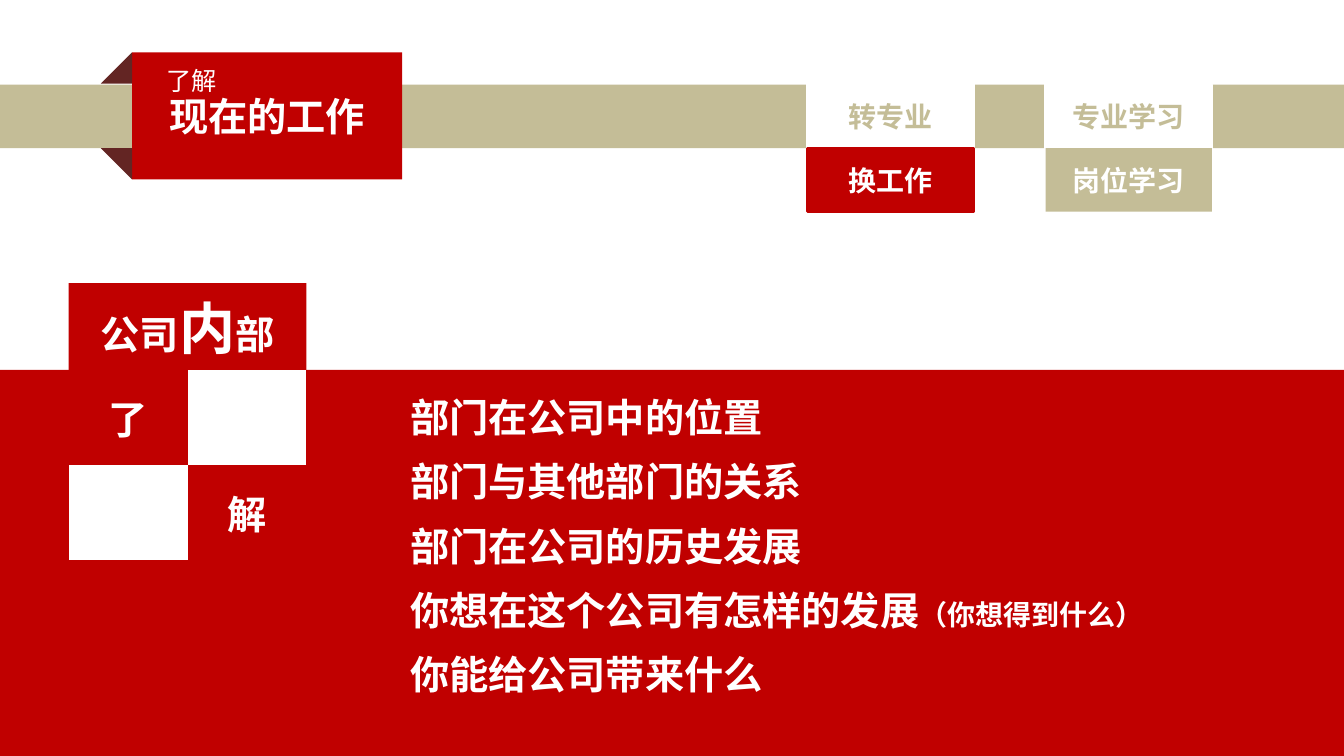
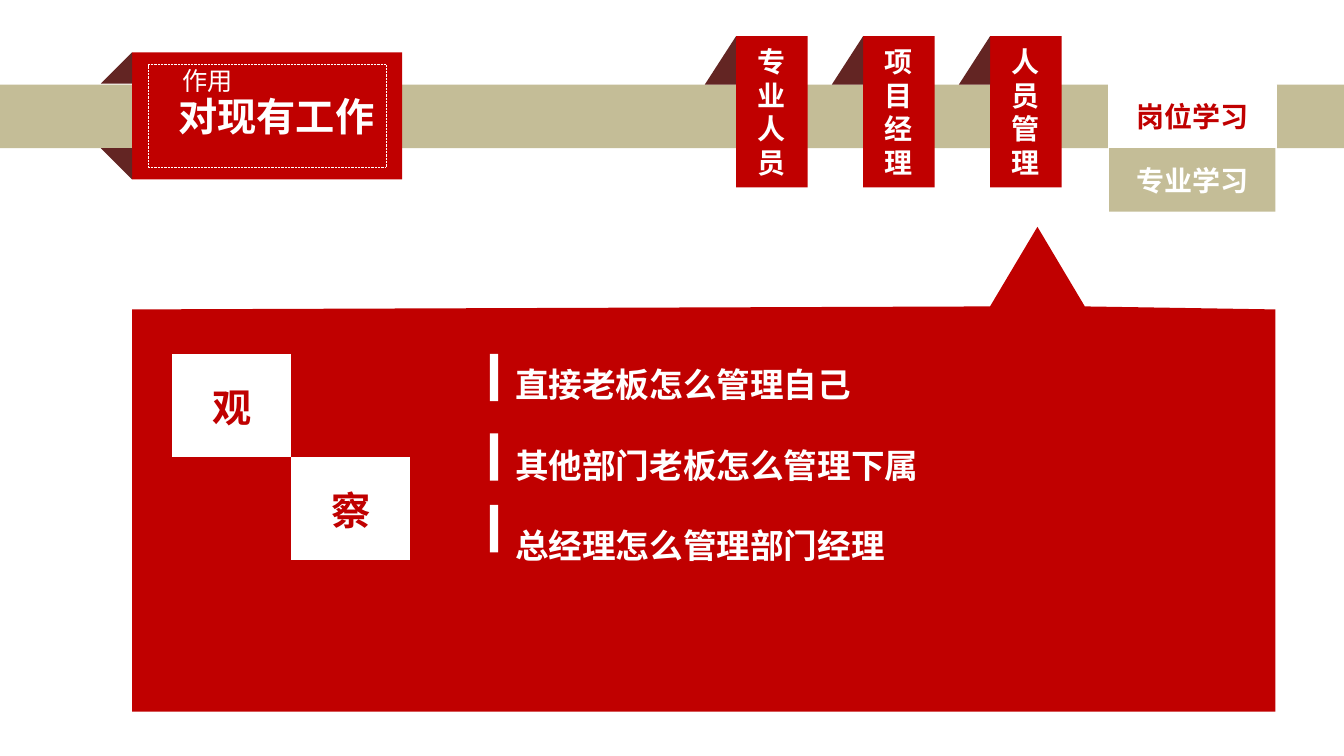
from pptx import Presentation
from pptx.dml.color import RGBColor
from pptx.enum.dml import MSO_LINE
from pptx.enum.lang import MSO_LANGUAGE_ID
from pptx.enum.shapes import MSO_SHAPE
from pptx.enum.text import MSO_ANCHOR, PP_ALIGN
from pptx.util import Inches, Pt

RED = RGBColor(0xC0, 0x00, 0x00)
FOLD = RGBColor(0x63, 0x25, 0x23)
TAN = RGBColor(0xC4, 0xBD, 0x97)
WHITE = RGBColor(0xFF, 0xFF, 0xFF)

WIDTH, HEIGHT = 13.33, 7.5
BAND_TOP, BAND_HEIGHT = 0.84, 0.63
FOLD_SIZE = 0.31
TITLE_BOX = (1.31, 0.52, 2.68, 1.26)
TAB_WIDTH = 1.65
CELL_WIDTH = 1.18
BANNER_LEFT, BANNER_STEP = 7.3, 1.26
BANNER_TOP, BANNER_WIDTH, BANNER_HEIGHT = 0.36, 0.71, 1.5
NO_TABLE_STYLE = "{2D5ABB26-0587-4C30-8999-92F81FD0307C}"

# Each paragraph is a list of (text, size) runs.
COMPANY_HEADING = [("公司", 28), ("内", 40), ("部", 28)]
COMPANY_POINTS = [
    [("部门在公司中的位置", 28)],
    [("部门与其他部门的关系", 28)],
    [("部门在公司的历史发展", 28)],
    [("你想在这个公司有怎样的发展", 28), ("（你想得到什么）", 20)],
    [("你能给公司带来什么", 28)],
]
# Each cell is (text, fill, text colour).
COMPANY_CELLS = [
    [("了", RED, WHITE), ("", WHITE, RED)],
    [("", WHITE, RED), ("解", RED, WHITE)],
]
# Each half of a tab is (text, fill, text colour, outline).
COMPANY_TABS = [
    (8.01, [("转专业", WHITE, TAN, WHITE), ("换工作", RED, WHITE, RED)]),
    (10.37, [("专业学习", WHITE, TAN, WHITE), ("岗位学习", TAN, WHITE, None)]),
]

BANNERS = ["专业人员", "项目经理", "人员管理"]
OBSERVE_POINTS = [
    [("直接老板怎么管理自己", 24)],
    [("其他部门老板怎么管理下属", 24)],
    [("总经理怎么管理部门经理", 24)],
]
OBSERVE_CELLS = [
    [("观", WHITE, RED), ("", RED, WHITE)],
    [("", RED, WHITE), ("察", WHITE, RED)],
]
OBSERVE_TABS = [
    (11, [("岗位学习", WHITE, RED, WHITE), ("专业学习", TAN, WHITE, None)]),
]
CALLOUT = [(1.31, 3.07), (9.82, 3.04), (10.29, 2.25), (10.76, 3.04),
           (12.65, 3.07), (12.65, 7.06), (1.31, 7.06)]
MARKER_TOPS = (3.51, 4.3, 5.01)


def inches(values):
    return [Inches(value) for value in values]


def write(frame, paragraphs, color=WHITE, font="Arial", bold=True,
          align=PP_ALIGN.CENTER, anchor=MSO_ANCHOR.MIDDLE, spacing=None, before=0):
    frame.word_wrap = True
    frame.vertical_anchor = anchor
    for index, runs in enumerate(paragraphs):
        paragraph = frame.add_paragraph() if index else frame.paragraphs[0]
        paragraph.alignment = align
        if spacing:
            paragraph.line_spacing = spacing
        if index and before:
            paragraph.space_before = Pt(before)
        for text, size in runs:
            run = paragraph.add_run()
            run.text = text
            run.font.name = font
            run.font.size = Pt(size)
            run.font.bold = bold
            run.font.color.rgb = color
            run.font.language_id = MSO_LANGUAGE_ID.SIMPLIFIED_CHINESE


def paint(shape, fill=None, line=None, line_width=2):
    shape.shadow.inherit = False
    if fill is None:
        shape.fill.background()
    else:
        shape.fill.solid()
        shape.fill.fore_color.rgb = fill
    if line is None:
        shape.line.fill.background()
    else:
        shape.line.color.rgb = line
        shape.line.width = Pt(line_width)
    return shape


def add_box(slide, box, fill=None, line=None, line_width=2, preset=MSO_SHAPE.RECTANGLE):
    shape = slide.shapes.add_shape(preset, *inches(box))
    return paint(shape, fill, line, line_width)


def add_fold(slide, left, top, height, below=False):
    """Dark triangle that makes a ribbon look folded behind the band."""
    fold = add_box(slide, (left, top, FOLD_SIZE, height), FOLD,
                   preset=MSO_SHAPE.RIGHT_TRIANGLE)
    transform = fold._element.spPr.xfrm
    transform.set("flipH", "1")
    if below:
        transform.set("flipV", "1")


def add_text(slide, box, paragraphs, **style):
    frame = slide.shapes.add_textbox(*inches(box)).text_frame
    write(frame, paragraphs, align=PP_ALIGN.LEFT, anchor=MSO_ANCHOR.TOP, **style)


def add_header(slide, title, kicker, kicker_left, title_shift=0):
    left, top, width, height = TITLE_BOX
    add_box(slide, (0, BAND_TOP, WIDTH, BAND_HEIGHT), TAN)
    ribbon = add_box(slide, TITLE_BOX, RED)
    write(ribbon.text_frame, [[(title, 28)]])
    ribbon.text_frame.margin_left = Inches(0.1 + 2 * title_shift)
    add_fold(slide, left - FOLD_SIZE, top, FOLD_SIZE)
    add_fold(slide, left - FOLD_SIZE, top + height - FOLD_SIZE, FOLD_SIZE, below=True)
    add_text(slide, (kicker_left, 0.6, 1, 0.4), [[(kicker, 18)]], bold=False)


def add_tabs(slide, tabs):
    for left, halves in tabs:
        for row, (text, fill, color, line) in enumerate(halves):
            top = BAND_TOP + row * BAND_HEIGHT
            tab = add_box(slide, (left, top, TAB_WIDTH, BAND_HEIGHT), fill, line)
            write(tab.text_frame, [[(text, 20)]], color)


def add_checkerboard(slide, left, top, row_height, cells):
    rows, columns = len(cells), len(cells[0])
    box = (left, top, columns * CELL_WIDTH, rows * row_height)
    table = slide.shapes.add_table(rows, columns, *inches(box)).table
    table.first_row = table.horz_banding = False
    table._tbl.tblPr[0].text = NO_TABLE_STYLE
    for row, row_cells in enumerate(cells):
        for column, (text, fill, color) in enumerate(row_cells):
            cell = table.cell(row, column)
            cell.fill.solid()
            cell.fill.fore_color.rgb = fill
            cell.vertical_anchor = MSO_ANCHOR.MIDDLE
            if text:
                write(cell.text_frame, [[(text, 28)]], color)


def add_banner(slide, left, text):
    box = (left, BANNER_TOP, BANNER_WIDTH, BANNER_HEIGHT)
    write(add_box(slide, box, RED).text_frame, [[(text, 20)]])
    add_fold(slide, left - FOLD_SIZE, BANNER_TOP, BAND_TOP - BANNER_TOP)


def build_company_slide(slide):
    add_header(slide, "现在的工作", "了解", 1.55)
    panel_top = 3.67
    add_box(slide, (0, panel_top, WIDTH, HEIGHT - panel_top), RED)
    heading = add_box(slide, (0.68, 2.81, 2 * CELL_WIDTH, 0.87), RED)
    write(heading.text_frame, [COMPANY_HEADING])
    add_text(slide, (3.97, 3.76, 8, 3.5), COMPANY_POINTS,
             font="Cambria", spacing=1.2, before=5.6)
    add_tabs(slide, COMPANY_TABS)
    add_checkerboard(slide, 0.68, panel_top, 0.945, COMPANY_CELLS)


def build_observe_slide(slide):
    add_header(slide, "对现有工作", "作用", 1.71, title_shift=0.09)
    left, top, width, height = TITLE_BOX
    inset_x, inset_y = 0.16, 0.12
    frame = add_box(slide, (left + inset_x, top + inset_y,
                            width - 2 * inset_x, height - 2 * inset_y),
                    line=WHITE, line_width=0.5)
    frame.line.dash_style = MSO_LINE.ROUND_DOT
    for index, text in enumerate(BANNERS):
        add_banner(slide, BANNER_LEFT + index * BANNER_STEP, text)
    add_tabs(slide, OBSERVE_TABS)

    start, *others = [inches(point) for point in CALLOUT]
    builder = slide.shapes.build_freeform(*start)
    builder.add_line_segments(others, close=True)
    paint(builder.convert_to_shape(), RED)
    add_checkerboard(slide, 1.71, 3.51, 1.025, OBSERVE_CELLS)
    add_text(slide, (5.01, 3.16, 7.5, 2.5), OBSERVE_POINTS, font="Roboto", spacing=2.0)
    for marker_top in MARKER_TOPS:
        add_box(slide, (4.86, marker_top, 0.08, 0.47), WHITE)


def main():
    presentation = Presentation()
    presentation.slide_width = Inches(WIDTH)
    presentation.slide_height = Inches(HEIGHT)
    blank = presentation.slide_layouts[6]
    for build in (build_company_slide, build_observe_slide):
        build(presentation.slides.add_slide(blank))
    presentation.save("out.pptx")


if __name__ == "__main__":
    main()
